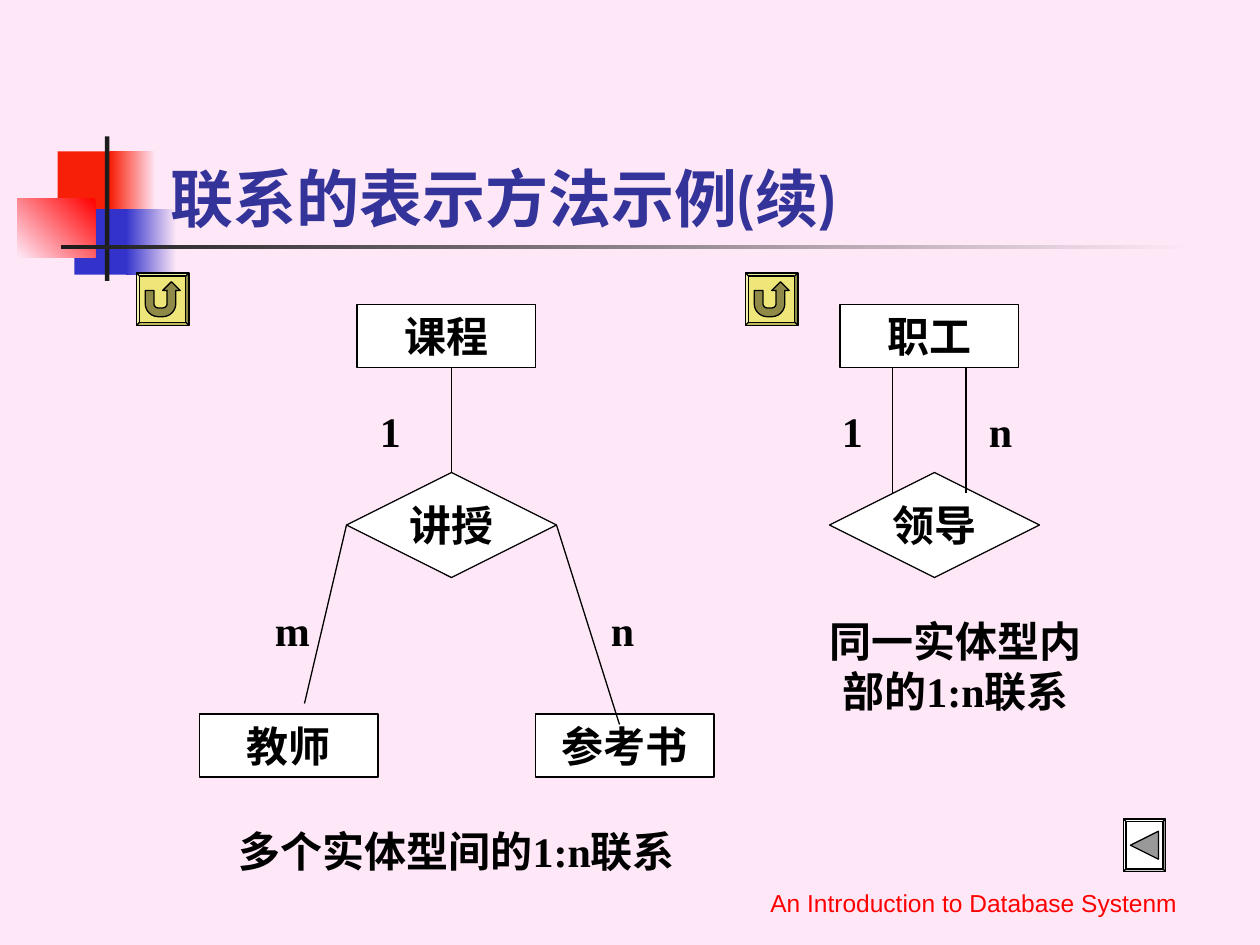
"""Build the slide showing how 1:n relationships are drawn in an E-R diagram."""
import math
from typing import NamedTuple, Optional

import pptx
import pptx.dml.color
import pptx.enum.shapes
import pptx.enum.text
import pptx.oxml.ns
import pptx.util

Pt = pptx.util.Pt
SHAPE = pptx.enum.shapes.MSO_SHAPE
ALIGN = pptx.enum.text.PP_ALIGN
ANCHOR = pptx.enum.text.MSO_ANCHOR
BACKGROUND = "FEE8F7"
BLACK = "000000"
WHITE = "FFFFFF"


class Block(NamedTuple):
    left: float
    top: float
    width: float
    height: float
    start: str
    end: Optional[str] = None
    angle: float = 180


class Node(NamedTuple):
    text: str
    left: float
    top: float
    is_relation: bool = False


class Link(NamedTuple):
    x1: float
    y1: float
    x2: float
    y2: float


class Label(NamedTuple):
    text: str
    left: float
    top: float
    width: float = 30
    height: float = 36
    align: ALIGN = ALIGN.LEFT
    anchor: ANCHOR = ANCHOR.TOP
    size: float = 24
    font: str = "Times New Roman"
    color: str = BLACK
    bold: bool = True


BLOCKS = [
    Block(33, 86.5, 34.5, 37.5, "F81F08"),
    Block(63, 86.5, 26, 37.5, BACKGROUND, "F81F08"),
    Block(42.5, 119.5, 33, 37.5, "3333CC"),
    Block(72, 119.5, 29, 37.5, BACKGROUND, "3333CC"),
    Block(10, 113.5, 44.5, 33.5, "FF0000", BACKGROUND, 225),
    Block(60, 78, 2.5, 82.5, "1C1C1C"),
    Block(34.75, 140, 648, 2.5, BACKGROUND, "1C1C1C"),
]
NODES = [
    Node("职工", 480, 174),
    Node("领导", 474, 270, True),
    Node("课程", 204, 174),
    Node("讲授", 198, 270, True),
    Node("教师", 114, 408),
    Node("参考书", 306, 408),
]
LINKS = [
    Link(510, 282, 510, 210),
    Link(552, 210, 552, 282),
    Link(258, 270, 258, 210),
    Link(198, 300, 174, 402),
    Link(318, 300, 354, 414),
]
LABELS = [
    Label("联系的表示方法示例(续)", 90.5, 48, 613.5, 90, anchor=ANCHOR.BOTTOM,
          size=36, font="Cabin", color="333399"),
    Label("1", 474, 228),
    Label("n", 558, 228),
    Label("同一实体型内部的1:n联系", 456, 348, 180, 65, ALIGN.CENTER),
    Label("1", 210, 228),
    Label("m", 150, 342),
    Label("n", 342, 342),
    Label("多个实体型间的1:n联系", 114, 468, 294, 36, ALIGN.CENTER),
    Label("An Introduction to Database Systenm", 411, 492, 291, 36, ALIGN.CENTER,
          ANCHOR.BOTTOM, 14, "Arial", "FF0000", False),
]


def rgb(value: str) -> pptx.dml.color.RGBColor:
    """Turn a hex string into a colour."""
    return pptx.dml.color.RGBColor.from_string(value)


def style(shape, fill: str) -> None:
    """Give a shape a plain fill, a thin black outline and no shadow."""
    shape.shadow.inherit = False
    shape.fill.solid()
    shape.fill.fore_color.rgb = rgb(fill)
    shape.line.color.rgb = rgb(BLACK)
    shape.line.width = Pt(0.75)


def write(shape, label: Label, wrap: bool = True) -> None:
    """Put the text of a label into a shape."""
    frame = shape.text_frame
    frame.word_wrap = wrap
    frame.vertical_anchor = label.anchor
    paragraph = frame.paragraphs[0]
    paragraph.text = label.text
    paragraph.alignment = label.align
    paragraph.font.size = Pt(label.size)
    paragraph.font.name = label.font
    paragraph.font.bold = label.bold
    paragraph.font.color.rgb = rgb(label.color)


def add_block(slide, block: Block) -> None:
    """Draw a solid or gradient decoration without outline."""
    shape = slide.shapes.add_shape(SHAPE.RECTANGLE, *map(Pt, block[:4]))
    shape.shadow.inherit = False
    shape.line.fill.background()
    if block.end is None:
        shape.fill.solid()
        shape.fill.fore_color.rgb = rgb(block.start)
        return
    shape.fill.gradient()
    shape.fill.gradient_angle = block.angle
    for stop, color in zip(shape.fill.gradient_stops, (block.start, block.end)):
        stop.color.rgb = rgb(color)


def add_node(slide, node: Node) -> None:
    """Draw an entity rectangle or a relationship diamond."""
    kind, width, height, anchor = (
        (SHAPE.DIAMOND, 120, 60, ANCHOR.MIDDLE) if node.is_relation
        else (SHAPE.RECTANGLE, 102, 36, ANCHOR.TOP))
    shape = slide.shapes.add_shape(kind, Pt(node.left), Pt(node.top), Pt(width), Pt(height))
    style(shape, WHITE)
    write(shape, Label(node.text, node.left, node.top, width, height, ALIGN.CENTER, anchor),
          wrap=not node.is_relation)


def add_link(slide, link: Link) -> None:
    """Draw a straight line between two points."""
    connector = slide.shapes.add_connector(
        pptx.enum.shapes.MSO_CONNECTOR.STRAIGHT, *map(Pt, link))
    connector.line.color.rgb = rgb(BLACK)
    connector.line.width = Pt(0.75)
    properties = connector._element.spPr
    properties.append(properties.makeelement(pptx.oxml.ns.qn("a:effectLst"), {}))


def add_label(slide, label: Label) -> None:
    """Draw a text box."""
    write(slide.shapes.add_textbox(*map(Pt, label[1:5])), label)


def arc(x: float, y: float, radius: float, start: int, stop: int) -> list:
    """List points along an arc, with angles in degrees."""
    step = 15 if stop > start else -15
    angles = [math.radians(angle) for angle in range(start, stop + step, step)]
    return [(x + radius * math.cos(a), y + radius * math.sin(a)) for a in angles]


def add_button(slide, left: float, top: float, width: float, fill: str,
               icon: list, icon_fill: str) -> None:
    """Draw a bevelled button with an icon placed from its top left corner."""
    bevel = slide.shapes.add_shape(SHAPE.BEVEL, Pt(left), Pt(top), Pt(width), Pt(30))
    bevel.adjustments[0] = 0.06
    style(bevel, fill)
    points = [(Pt(left + x), Pt(top + y)) for x, y in icon]
    builder = slide.shapes.build_freeform(*points[0])
    builder.add_line_segments(points[1:], close=True)
    style(builder.convert_to_shape(), icon_fill)


def main() -> None:
    """Build and save the presentation."""
    presentation = pptx.Presentation()
    presentation.slide_width, presentation.slide_height = Pt(720), Pt(540)
    slide = presentation.slides.add_slide(presentation.slide_layouts[6])
    slide.background.fill.solid()
    slide.background.fill.fore_color.rgb = rgb(BACKGROUND)
    for draw, items in ((add_block, BLOCKS), (add_node, NODES),
                        (add_link, LINKS), (add_label, LABELS)):
        for item in items:
            draw(slide, item)
    return_arrow = [
        (5, 10), (10, 10), *arc(12.5, 17.5, 2.5, 180, 90), *arc(15, 17.5, 2.5, 90, 0),
        (17.5, 10), (15, 10), (20, 5), (25, 10), (22.5, 10),
        *arc(15, 17.5, 7.5, 0, 90), *arc(12.5, 17.5, 7.5, 90, 180)]
    for left in (78, 426):
        add_button(slide, left, 156, 30, "EEE678", return_arrow, "8F8A48")
    add_button(slide, 642, 468, 24, WHITE, [(4, 15), (20, 7), (20, 23)], "999999")
    presentation.save("out.pptx")


if __name__ == "__main__":
    main()
